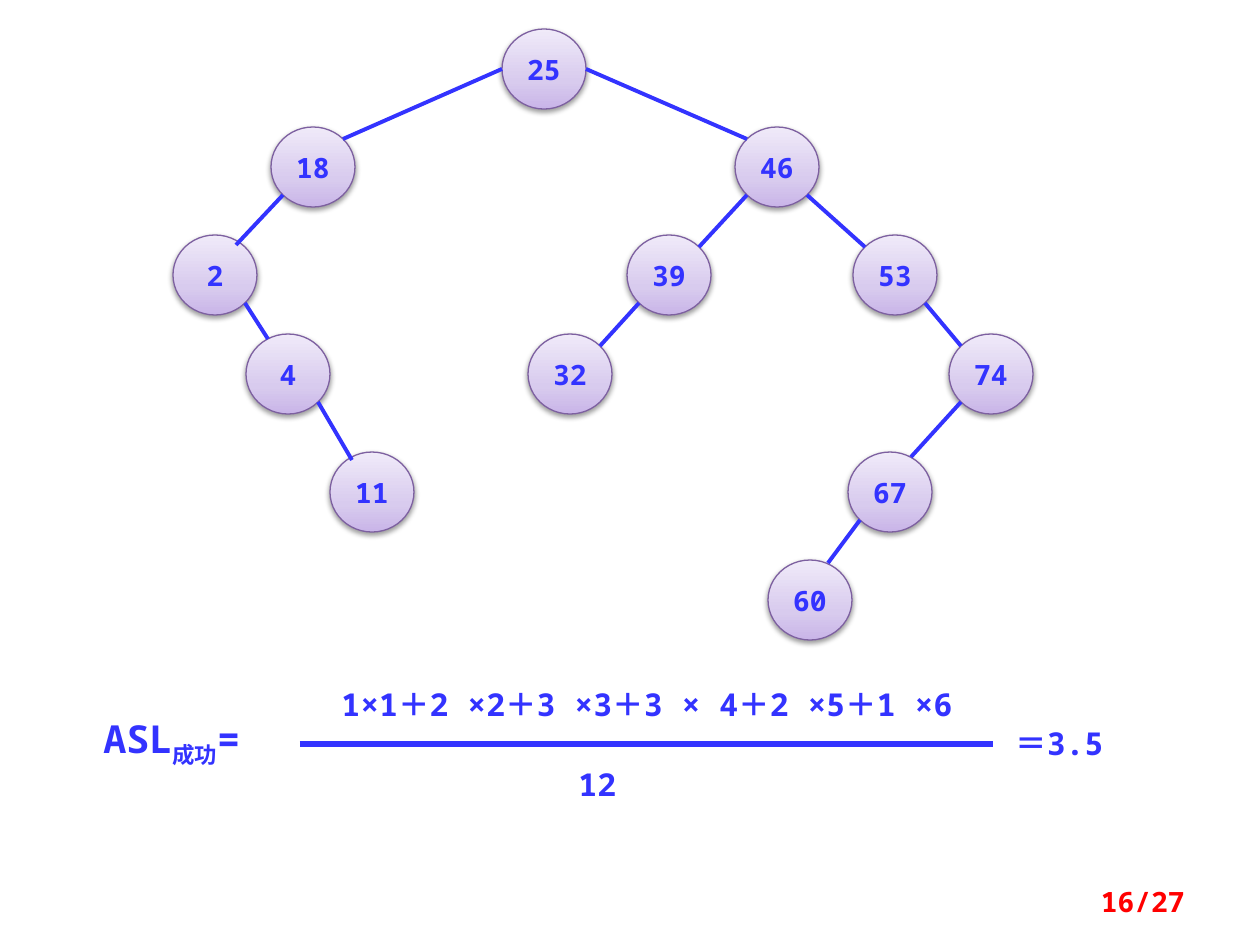
from dataclasses import dataclass

from lxml import etree
from pptx import Presentation
from pptx.dml.color import RGBColor
from pptx.enum.shapes import MSO_CONNECTOR, MSO_SHAPE
from pptx.enum.text import MSO_ANCHOR, PP_ALIGN
from pptx.oxml import parse_xml
from pptx.oxml.ns import nsdecls, qn
from pptx.util import Emu, Pt

ELLIPSE = MSO_SHAPE.OVAL
STRAIGHT = MSO_CONNECTOR.STRAIGHT
MIDDLE, TOP = MSO_ANCHOR.MIDDLE, MSO_ANCHOR.TOP
LEFT, CENTER, RIGHT = PP_ALIGN.LEFT, PP_ALIGN.CENTER, PP_ALIGN.RIGHT
EMU_PER_PX = 914400 / 126


@dataclass(frozen=True)
class Theme:
    font: str = "Noto Sans Mono"
    ink: str = "3333FF"
    page_number: str = "FF0000"
    node_line: str = "7D60A0"
    node_stops: tuple = ((0, "C9B5E8"), (35, "D8CBEE"), (100, "F0EAF9"))
    small: int = 16
    formula: int = 18
    label: int = 22


THEME = Theme()
NODE_WIDTH, NODE_HEIGHT = 84, 80
DIAGONAL = (30, 28)  # from a node's centre to its rim
ROOT = (25, 544, 69)
# value, centre x, centre y, parent, where the edge meets the child (from its centre)
CHILDREN = [
    (18, 313, 167, 25, DIAGONAL),
    (2, 215, 275, 18, (21, 30)),
    (4, 288, 374, 2, (20, 35)),
    (11, 372, 492, 4, (20, 32)),
    (46, 777, 167, 25, DIAGONAL),
    (39, 669, 275, 46, DIAGONAL),
    (32, 570, 374, 39, DIAGONAL),
    (53, 895, 275, 46, DIAGONAL),
    (74, 991, 374, 53, DIAGONAL),
    (67, 890, 492, 74, (21, 35)),
    (60, 810, 600, 67, (18, 37)),
]


def px(length):
    return Emu(round(length * EMU_PER_PX))


def style_paragraph(para, size, color=THEME.ink, align=LEFT):
    para.alignment = align
    for span in para.runs:
        span.font.name = THEME.font
        span.font.size = Pt(size)
        span.font.bold = True
        span.font.color.rgb = RGBColor.from_string(color)


def add_gradient(shape):
    stops = "".join(
        f'<a:gs pos="{position * 1000}"><a:srgbClr val="{color}"/></a:gs>'
        for position, color in THEME.node_stops
    )
    gradient = parse_xml(
        f'<a:gradFill {nsdecls("a")} rotWithShape="1"><a:gsLst>{stops}</a:gsLst>'
        '<a:lin ang="16200000" scaled="0"/></a:gradFill>'
    )
    shape._element.spPr.find(qn("a:prstGeom")).addnext(gradient)


def add_shadow(shape):
    shape.shadow.inherit = False
    shape._element.spPr.find(qn("a:effectLst")).append(parse_xml(
        f'<a:outerShdw {nsdecls("a")} blurRad="{Pt(3.1)}" dist="{Pt(1.6)}" '
        'dir="5400000" rotWithShape="0"><a:srgbClr val="000000">'
        '<a:alpha val="38000"/></a:srgbClr></a:outerShdw>'
    ))


def add_node(shapes, value, x, y):
    node = shapes.add_shape(
        ELLIPSE, px(x - NODE_WIDTH / 2), px(y - NODE_HEIGHT / 2),
        px(NODE_WIDTH), px(NODE_HEIGHT),
    )
    add_gradient(node)
    node.line.color.rgb = RGBColor.from_string(THEME.node_line)
    node.line.width = Pt(0.75)
    add_shadow(node)
    frame = node.text_frame
    frame.text = str(value)
    frame.word_wrap = False
    frame.vertical_anchor = MIDDLE
    style_paragraph(frame.paragraphs[0], THEME.small, align=CENTER)


def add_line(shapes, start, end, width):
    line = shapes.add_connector(STRAIGHT, *map(px, (*start, *end)))
    line.line.color.rgb = RGBColor.from_string(THEME.ink)
    line.line.width = Pt(width)
    etree.SubElement(line._element.spPr, qn("a:effectLst"))


def add_tree(slide):
    shapes = slide.shapes.add_group_shape().shapes
    add_node(shapes, *ROOT)
    centers = {ROOT[0]: ROOT[1:]}
    for value, x, y, parent, (end_dx, end_dy) in CHILDREN:
        centers[value] = (x, y)
        add_node(shapes, value, x, y)
        parent_x, parent_y = centers[parent]
        side = 1 if x > parent_x else -1
        start_dx, start_dy = (NODE_WIDTH / 2, 0) if parent == ROOT[0] else DIAGONAL
        add_line(
            shapes,
            (parent_x + side * start_dx, parent_y + start_dy),
            (x - side * end_dx, y - end_dy),
            2.25,
        )


def add_text(slide, bounds, spans, size, color=THEME.ink, align=LEFT, anchor=TOP):
    box = slide.shapes.add_textbox(*map(px, bounds))
    frame = box.text_frame
    frame.word_wrap = align == RIGHT
    frame.vertical_anchor = anchor
    para = frame.paragraphs[0]
    for text in spans:
        para.add_run().text = text
    style_paragraph(para, size, color, align)
    return para


def add_formula(slide):
    label = add_text(slide, (91, 709, 208, 59), ["ASL", "成功", "="], THEME.label)
    label.runs[1].font._element.set("baseline", "-25000")
    add_text(slide, (329, 679, 714, 50),
             ["1×1＋2 ×2＋3 ×3＋3 × 4＋2 ×5＋1 ×6"], THEME.formula)
    add_line(slide.shapes, (300, 744), (993, 744), 3)
    add_text(slide, (566, 759, 89, 50), ["12"], THEME.formula)
    add_text(slide, (1003, 718, 129, 50), ["＝3.5"], THEME.formula)


def main():
    deck = Presentation()
    deck.slide_width, deck.slide_height = px(1260), px(945)
    slide = deck.slides.add_slide(deck.slide_layouts[6])
    add_tree(slide)
    add_formula(slide)
    add_text(slide, (903, 876, 294, 50), ["16/27"], THEME.small,
             THEME.page_number, RIGHT, MIDDLE)
    deck.save("out.pptx")


if __name__ == "__main__":
    main()
